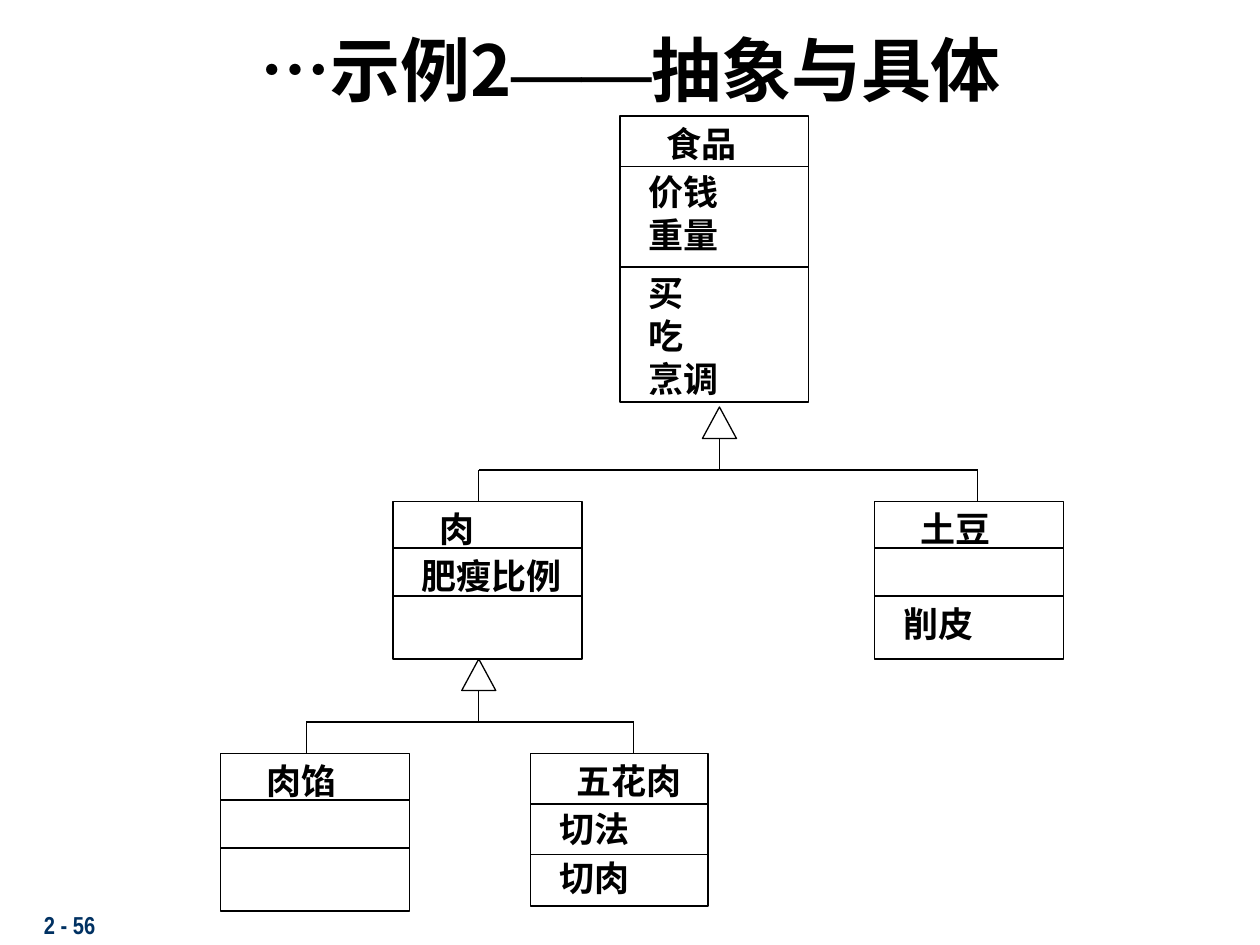
from dataclasses import dataclass

from lxml.etree import SubElement
from pptx import Presentation
from pptx.dml.color import RGBColor
from pptx.enum.shapes import MSO_CONNECTOR, MSO_SHAPE
from pptx.enum.text import MSO_ANCHOR, PP_ALIGN
from pptx.oxml.ns import qn
from pptx.util import Inches, Pt

COLORS = {"ink": "000000", "page": "003162"}
LATIN = "Times New Roman"
CJK = "Noto Sans CJK SC"
LINE_WIDTH = Pt(0.75)
TITLE_INDENT = 0.27
BODY_INDENT = 0.13


@dataclass
class Section:
    lines: list[str]
    top: float
    height: float = 0.44
    tight: bool = False


@dataclass
class ClassBox:
    name: str
    x: float
    y: float
    w: float
    h: float
    dividers: tuple[float, float]
    sections: list[Section]


@dataclass
class Branch:
    x: float
    y: float
    left: float
    right: float


CLASSES = [
    ClassBox("食品", 4.92, 0.92, 1.5, 2.27, (0.4, 1.2), [
        Section(["价钱", "重量"], 0.53, 0.61, True),
        Section(["买", "吃", "烹调"], 1.33, 0.95, True),
    ]),
    ClassBox("土豆", 6.94, 3.98, 1.5, 1.25, (0.37, 0.75), [Section(["削皮"], 0.75)]),
    ClassBox("肉", 3.12, 3.98, 1.5, 1.25, (0.37, 0.75), [Section(["肥瘦比例"], 0.37)]),
    ClassBox("肉馅", 1.75, 5.98, 1.5, 1.25, (0.37, 0.75), []),
    ClassBox("五花肉", 4.21, 5.98, 1.41, 1.21, (0.4, 0.8), [
        Section(["切法"], 0.38),
        Section(["切肉"], 0.91, 0.27, True),
    ]),
]
BRANCHES = [Branch(5.71, 3.23, 3.8, 7.76), Branch(3.8, 5.23, 2.43, 5.03)]


def style_run(r, size: float, font: str = LATIN, color: str = "ink") -> None:
    r.font.size = Pt(size)
    r.font.bold = True
    r.font.name = font
    r.font.color.rgb = RGBColor.from_string(COLORS[color])
    SubElement(r.font._element, qn("a:ea")).set("typeface", CJK)


def add_text(s, lines: list[str], x: float, y: float, w: float, h: float,
             tight: bool = False, size: float = 20, font: str = LATIN,
             color: str = "ink") -> None:
    tf = s.shapes.add_textbox(Inches(x), Inches(y), Inches(w), Inches(h)).text_frame
    tf.word_wrap = True
    tf.text = "\n".join(lines)
    for i, p in enumerate(tf.paragraphs):
        if tight:
            p.line_spacing = 0.5
        if i:
            p.space_before = Pt(12.5)
        style_run(p.runs[0], size, font, color)


def add_line(s, x1: float, y1: float, x2: float, y2: float) -> None:
    line = s.shapes.add_connector(
        MSO_CONNECTOR.STRAIGHT, Inches(x1), Inches(y1), Inches(x2), Inches(y2))
    line.line.color.rgb = RGBColor.from_string(COLORS["ink"])
    line.line.width = LINE_WIDTH
    SubElement(line._element.spPr, qn("a:effectLst"))


def add_outline(s, kind: MSO_SHAPE, x: float, y: float, w: float, h: float) -> None:
    sp = s.shapes.add_shape(kind, Inches(x), Inches(y), Inches(w), Inches(h))
    sp.shadow.inherit = False
    sp.fill.background()
    sp.line.color.rgb = RGBColor.from_string(COLORS["ink"])
    sp.line.width = LINE_WIDTH


def add_class(s, box: ClassBox) -> None:
    add_outline(s, MSO_SHAPE.RECTANGLE, box.x, box.y, box.w, box.h)
    for dy in box.dividers:
        add_line(s, box.x, box.y + dy, box.x + box.w, box.y + dy)
    add_text(s, [box.name], box.x + TITLE_INDENT, box.y, box.w - TITLE_INDENT, 0.44)
    for section in box.sections:
        add_text(s, section.lines, box.x + BODY_INDENT, box.y + section.top,
                 box.w, section.height, section.tight)


def add_branch(s, branch: Branch) -> None:
    step, width = 0.25, 0.27
    bar = branch.y + 2 * step
    add_outline(s, MSO_SHAPE.ISOSCELES_TRIANGLE,
                branch.x - width / 2, branch.y, width, step)
    add_line(s, branch.left, bar, branch.right, bar)
    for x in (branch.left, branch.right):
        add_line(s, x, bar, x, bar + step)
    add_line(s, branch.x, bar - step, branch.x, bar)


def add_title(s) -> None:
    title = s.shapes.title
    title.left, title.top = Inches(0.17), Inches(0.17)
    title.width, title.height = Inches(9.67), Inches(0.75)
    tf = title.text_frame
    tf.vertical_anchor = MSO_ANCHOR.MIDDLE
    p = tf.paragraphs[0]
    p.alignment = PP_ALIGN.CENTER
    for text, font in (("…", LATIN), ("示例2", CJK), ("——", LATIN), ("抽象与具体", CJK)):
        r = p.add_run()
        r.text = text
        style_run(r, 40, font)


def main() -> None:
    prs = Presentation()
    prs.slide_width, prs.slide_height = Inches(10), Inches(7.5)
    s = prs.slides.add_slide(prs.slide_layouts[5])
    add_title(s)
    add_text(s, ["2 - 56"], 0.25, 7.17, 2.08, 0.33,
             size=14, font="Arial Narrow", color="page")
    for box in CLASSES:
        add_class(s, box)
    for branch in BRANCHES:
        add_branch(s, branch)
    prs.save("out.pptx")


if __name__ == "__main__":
    main()
